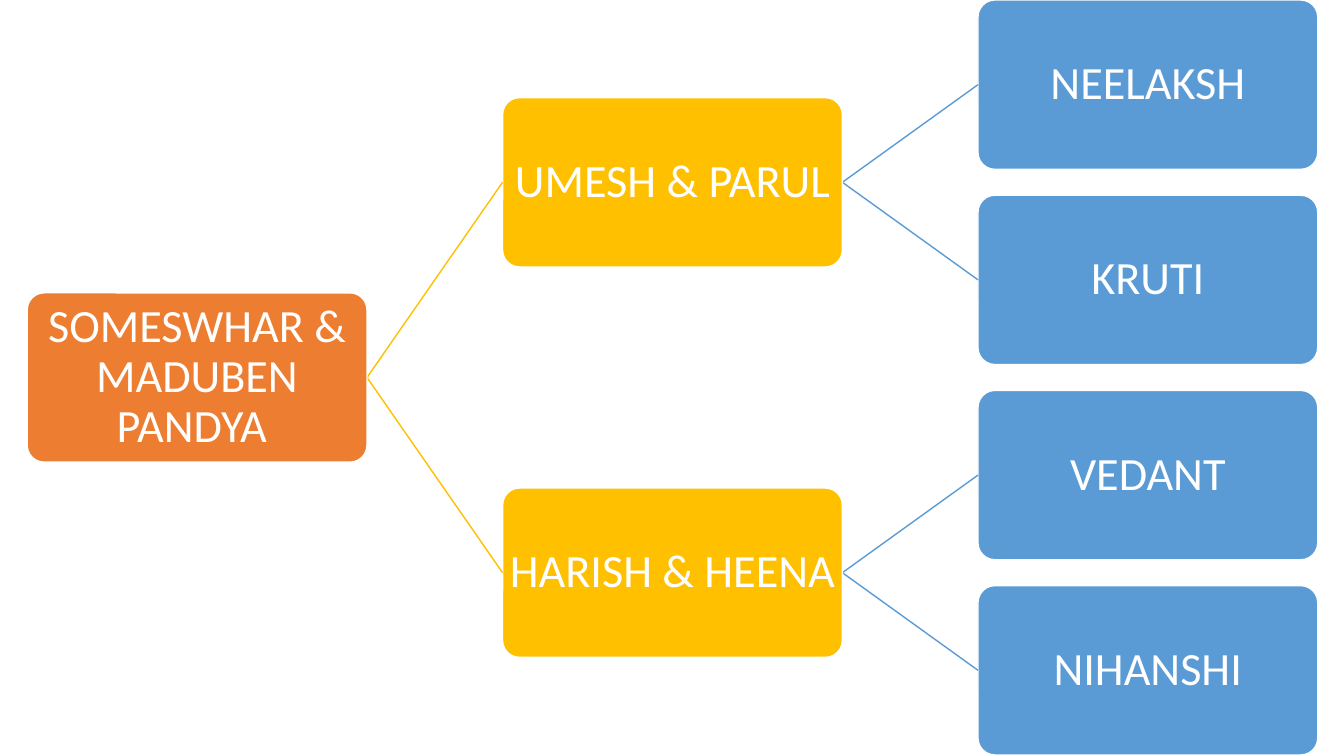
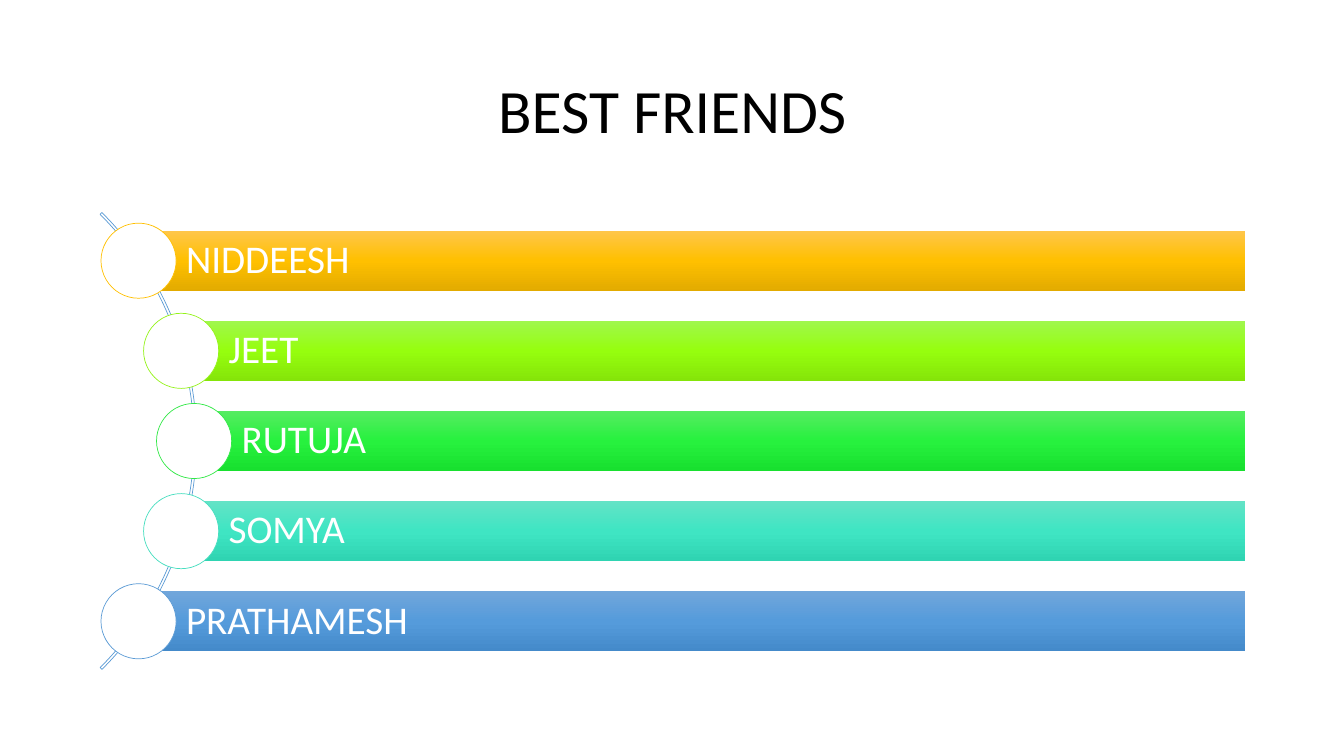
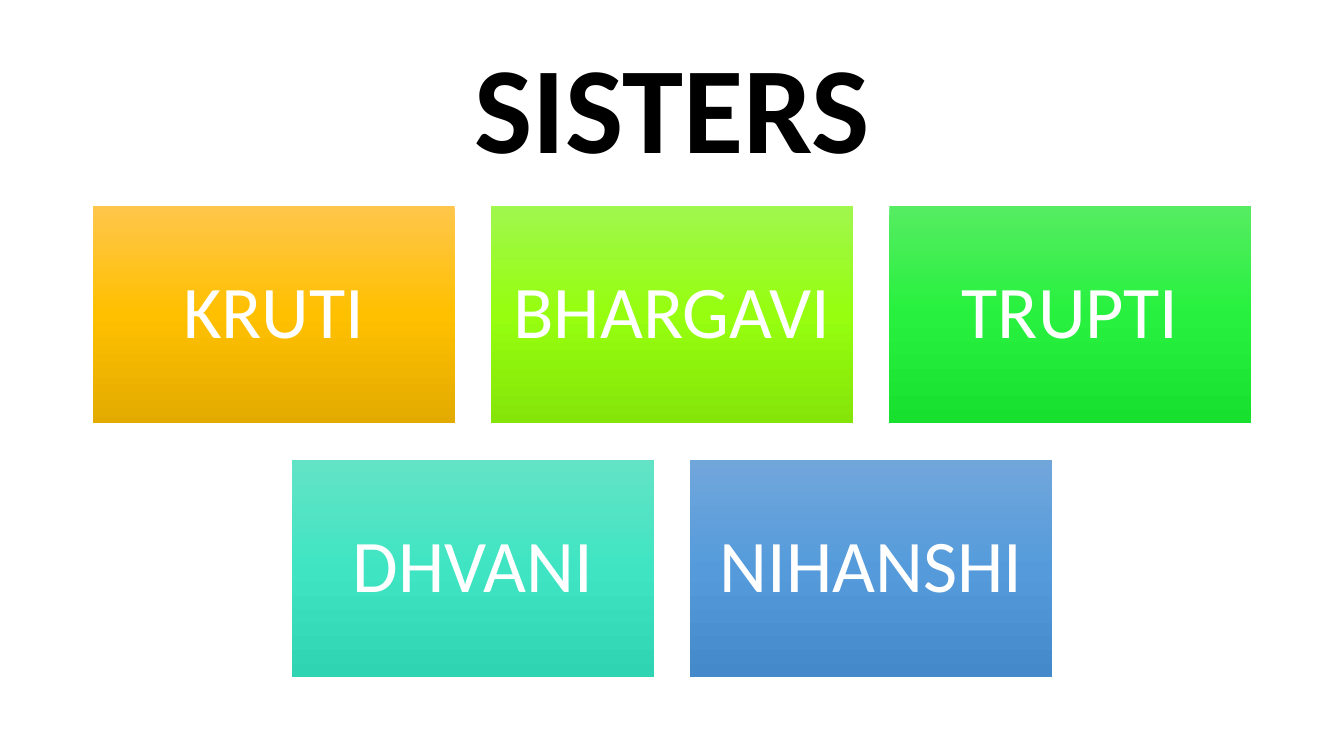
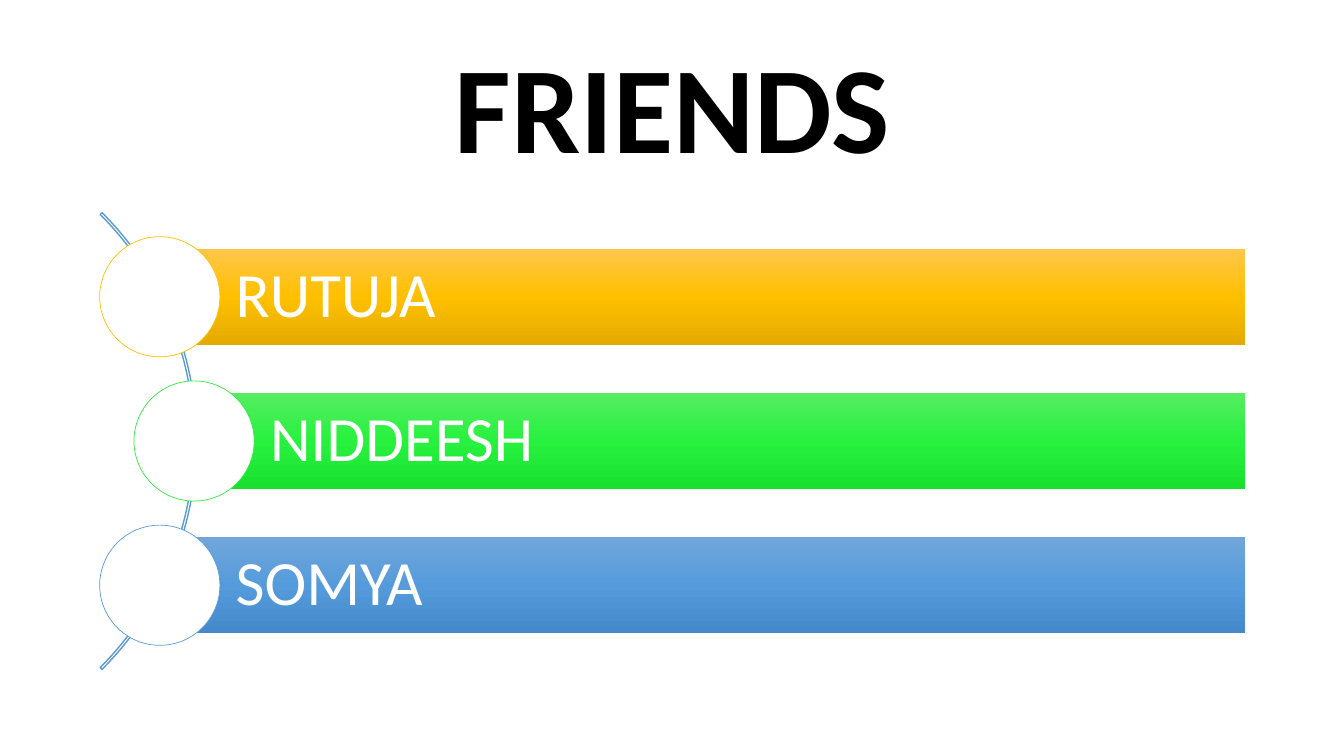
from copy import deepcopy
from dataclasses import dataclass
from math import sqrt

from pptx import Presentation
from pptx.dml.color import RGBColor as RGB
from pptx.enum.shapes import MSO_CONNECTOR as CONN, MSO_SHAPE as SHAPE
from pptx.enum.text import MSO_ANCHOR as ANCHOR, PP_ALIGN as ALIGN
from pptx.oxml.ns import qn
from pptx.oxml.xmlchemy import OxmlElement
from pptx.util import Inches, Pt


@dataclass(frozen=True)
class Theme:
    font: str = "Calibri"
    black: str = "000000"
    white: str = "FFFFFF"
    blue: str = "5B9BD5"
    tree: tuple = ("ED7D31", "FFC000", "5B9BD5")
    title: int = 44
    big_title: int = 88
    node: int = 33
    tile: int = 53
    spacing: float = 0.9


@dataclass(frozen=True)
class Tone:
    stops: tuple
    rim: str


T = Theme()
GOLD = Tone(("FFC64B", "FFC000", "E3AB00"), "FFC000")
LIME = Tone(("A0F74E", "96FE0E", "85E509"), "94F319")
GREEN = Tone(("56EC62", "27F13E", "18E02F"), "30E845")
TEAL = Tone(("63E3C6", "3FE5C3", "2FD4B2"), "46DEBF")
BLUE = Tone(("71A6DB", "559BDB", "448ACA"), T.blue)

TITLE_BOX = (0.92, 0.4, 11.5, 1.45)
LIST_BOX = (0.98, 1.99, 11.37, 4.77)
TILE_BOX = (0.92, 2.04, 11.49, 4.68)
TREE_BOX = (0.27, 0, 12.8, 7.49)


def apply(target, values):
    for name, value in values.items():
        setattr(target, name, value)


def write(s, text, size, color=T.white, align=ALIGN.CENTER, bold=False, insets=None):
    tf = s.text_frame
    apply(tf, {"word_wrap": True, "vertical_anchor": ANCHOR.MIDDLE})
    if insets:
        sides = ("margin_left", "margin_top", "margin_right", "margin_bottom")
        apply(tf, dict(zip(sides, map(Inches, insets))))
    p = tf.paragraphs[0]
    apply(p, {"alignment": align, "line_spacing": T.spacing})
    r = p.add_run()
    r.text = text
    apply(r.font, {"name": T.font, "size": Pt(size), "bold": bold})
    r.font.color.rgb = RGB.from_string(color)


def add_title(sl, text, size, bold=False):
    write(sl.shapes.add_textbox(*map(Inches, TITLE_BOX)), text, size, T.black, bold=bold)


def draw(sl, kind, box, fill=None, line=None, width=0.5):
    s = sl.shapes.add_shape(kind, *map(Inches, box))
    s.shadow.inherit = False
    if fill:
        s.fill.solid()
        s.fill.fore_color.rgb = RGB.from_string(fill)
    else:
        s.fill.background()
    if line:
        s.line.color.rgb = RGB.from_string(line)
        s.line.width = Pt(width)
    else:
        s.line.fill.background()
    return s


def shade(s, stops):
    s.fill.gradient()
    s.fill.gradient_angle = 270
    holder = s._element.spPr.find(".//" + qn("a:gsLst"))
    holder.append(deepcopy(holder[0]))
    for i, (stop, color) in enumerate(zip(s.fill.gradient_stops, stops)):
        stop.position = i / (len(stops) - 1)
        stop.color.rgb = RGB.from_string(color)


def add_branch(sl, start, end, color):
    c = sl.shapes.add_connector(CONN.STRAIGHT, *map(Inches, (*start, *end)))
    c.line.color.rgb = RGB.from_string(color)
    c.line.width = Pt(1)
    c._element.spPr.append(OxmlElement("a:effectLst"))


def add_tree(sl, box, root):
    left, top, width, height = box
    node_w, node_h = 3.37, 1.68
    step_x = (width - node_w) / 2
    step_y = (height - node_h) / 3
    leaves = iter(range(4))

    def place(node, level):
        name, children = node
        centers = [place(child, level + 1) for child in children]
        if centers:
            middle = sum(centers) / len(centers)
        else:
            middle = top + node_h / 2 + next(leaves) * step_y
        x = left + level * step_x
        for center in centers:
            add_branch(sl, (x + node_w, middle), (x + step_x, center), T.tree[level + 1])
        s = draw(sl, SHAPE.ROUNDED_RECTANGLE, (x, middle - node_h / 2, node_w, node_h),
                 T.tree[level], T.white, 1)
        s.adjustments[0] = 0.1
        write(s, name, T.node, insets=[0.02] * 4)
        return middle

    place(root, 0)


def add_arc_list(sl, box, items, size, arc_width):
    left, top, width, height = box
    arc_x, arc_d, radius = -4.46, 6.41, 3.18
    center_x, center_y = arc_x + arc_d / 2, top + height / 2
    arc = draw(sl, SHAPE.BLOCK_ARC, (arc_x, center_y - arc_d / 2, arc_d, arc_d),
               line=T.blue, width=arc_width)
    for i, value in enumerate((189, 27, 0.004)):
        arc.adjustments[i] = value
    step = height / (len(items) + 1 / 3)
    bar_h = step * 2 / 3
    dot = bar_h * 1.25
    pad = bar_h / 8
    for i, (name, tone) in enumerate(items):
        offset = (i - (len(items) - 1) / 2) * step
        x = center_x + sqrt(radius ** 2 - offset ** 2)
        y = center_y + offset
        bar = draw(sl, SHAPE.RECTANGLE, (x, y - bar_h / 2, left + width - x, bar_h))
        shade(bar, tone.stops)
        write(bar, name, size, align=ALIGN.LEFT, insets=(bar_h * 0.79, pad, pad, pad))
        draw(sl, SHAPE.OVAL, (x - dot / 2, y - dot / 2, dot, dot), T.white, tone.rim)


def add_tiles(sl, box, rows):
    left, top, width, height = box
    gap = 0.36
    columns = max(map(len, rows))
    tile_w = (width - gap * (columns - 1)) / columns
    tile_h = (height - gap * (len(rows) - 1)) / len(rows)
    for i, row in enumerate(rows):
        start = left + (columns - len(row)) * (tile_w + gap) / 2
        for j, (name, tone) in enumerate(row):
            s = draw(sl, SHAPE.RECTANGLE, (start + j * (tile_w + gap),
                                           top + i * (tile_h + gap), tile_w, tile_h))
            shade(s, tone.stops)
            write(s, name, T.tile, insets=[0.22] * 4)


def family_slide(sl):
    add_tree(sl, TREE_BOX, ("SOMESWHAR & MADUBEN PANDYA ", [
        ("UMESH & PARUL", [("NEELAKSH", []), ("KRUTI", [])]),
        ("HARISH & HEENA ", [("VEDANT", []), ("NIHANSHI", [])]),
    ]))


def best_friends_slide(sl):
    add_title(sl, "BEST FRIENDS", T.title)
    add_arc_list(sl, LIST_BOX, [("NIDDEESH", GOLD), ("JEET", LIME), ("RUTUJA", GREEN),
                                ("SOMYA", TEAL), ("PRATHAMESH", BLUE)], 28, 0.5)


def sisters_slide(sl):
    add_title(sl, "SISTERS", T.big_title, True)
    add_tiles(sl, TILE_BOX, [[("KRUTI", GOLD), ("BHARGAVI", LIME), ("TRUPTI", GREEN)],
                             [("DHVANI", TEAL), ("NIHANSHI", BLUE)]])


def friends_slide(sl):
    add_title(sl, "FRIENDS", T.big_title, True)
    add_arc_list(sl, LIST_BOX, [("RUTUJA", GOLD), ("NIDDEESH", GREEN), ("SOMYA", BLUE)], 45, 1)


prs = Presentation()
apply(prs, {"slide_width": Inches(13.33), "slide_height": Inches(7.5)})
for build in (family_slide, best_friends_slide, sisters_slide, friends_slide):
    build(prs.slides.add_slide(prs.slide_layouts[6]))
prs.save("out.pptx")
